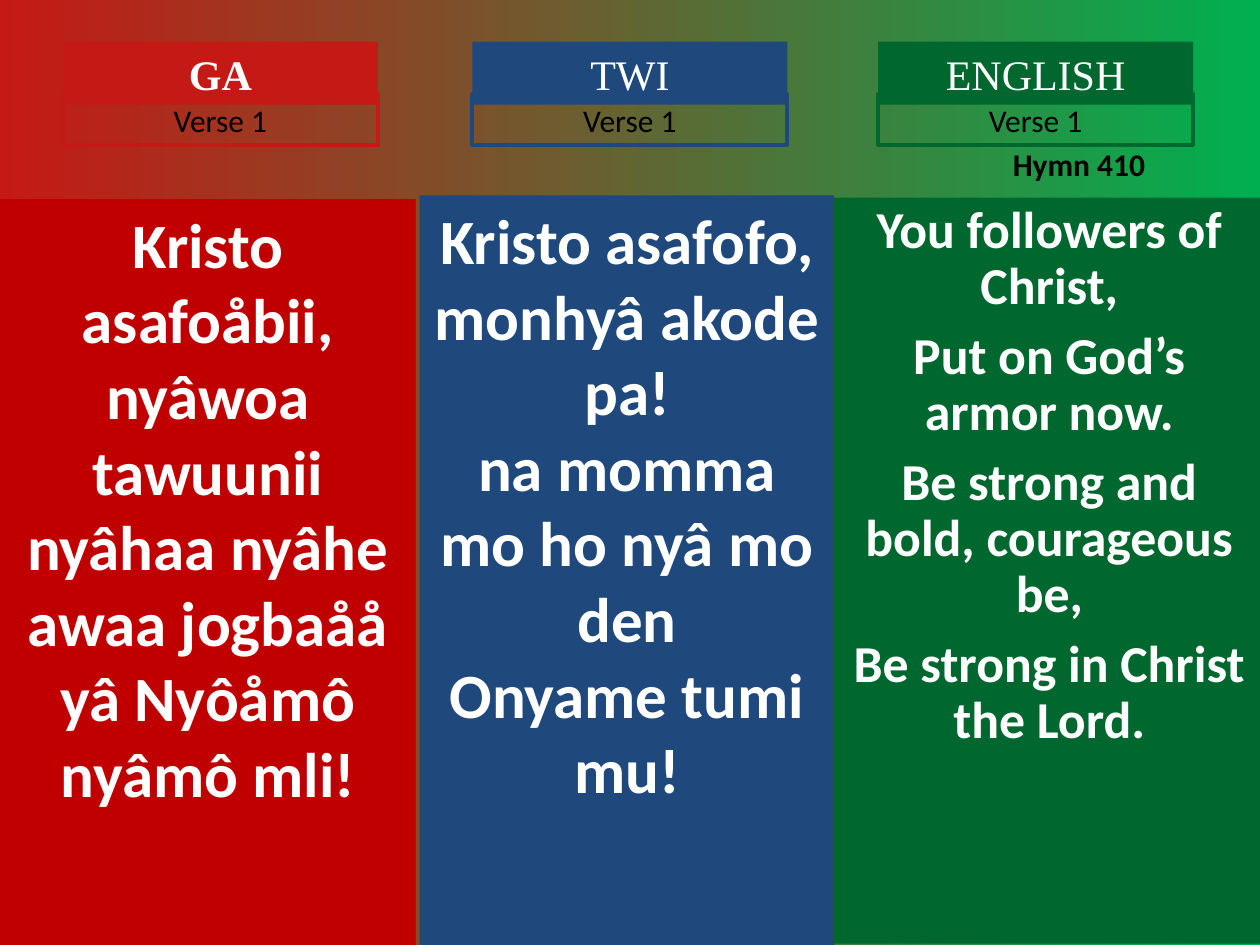
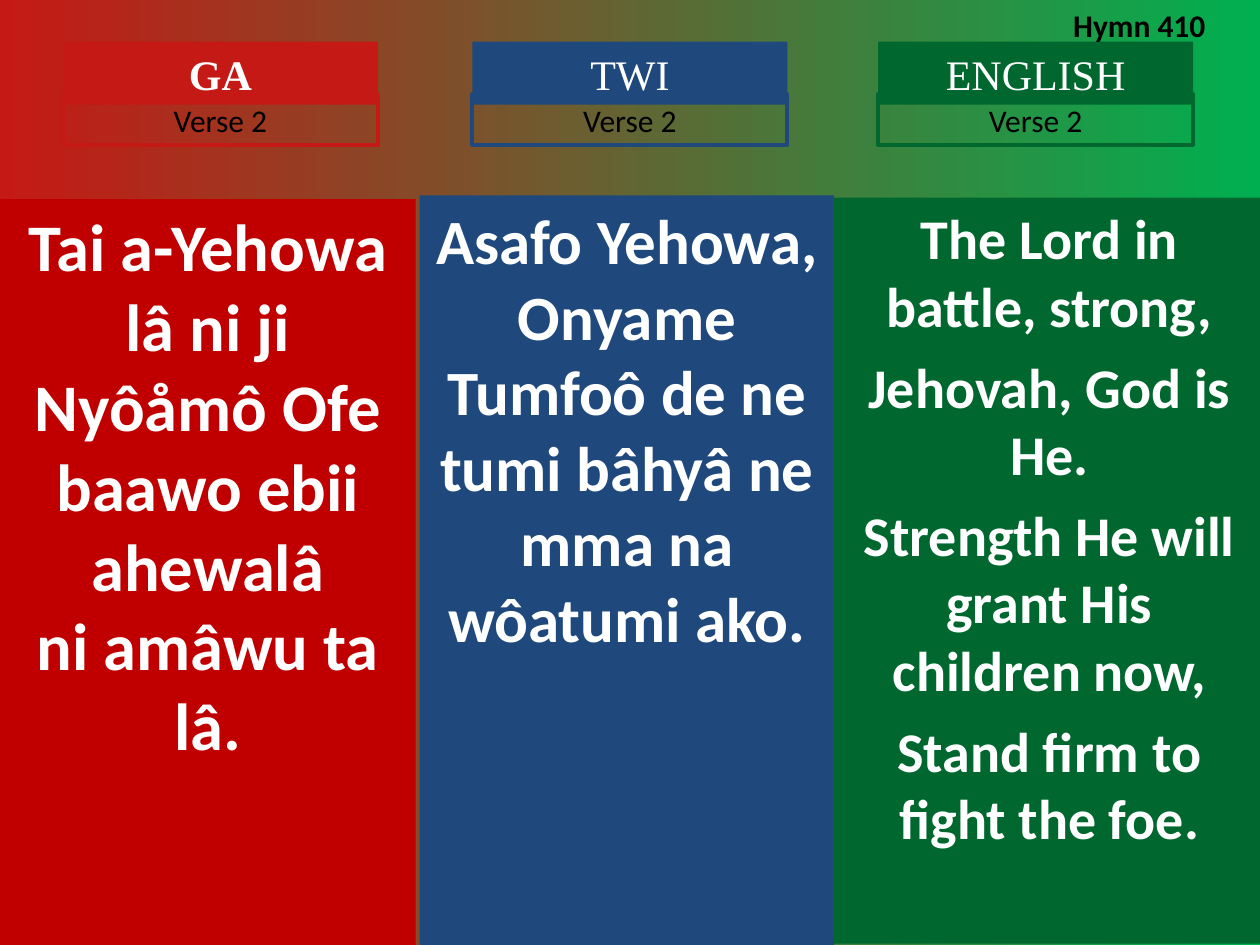
from pptx import Presentation
from pptx.dml.color import RGBColor
from pptx.enum.shapes import MSO_SHAPE as Shape
from pptx.enum.text import MSO_ANCHOR as Anchor, PP_ALIGN as Align
from pptx.util import Pt

RED = RGBColor(0xC5, 0x19, 0x15)
CRIMSON = RGBColor(0xC0, 0x00, 0x00)
BLUE = RGBColor(0x1F, 0x49, 0x7D)
GREEN = RGBColor(0x00, 0x68, 0x2F)
LIME = RGBColor(0x00, 0xB0, 0x50)
WHITE = RGBColor(0xFF, 0xFF, 0xFF)
BLACK = RGBColor(0x00, 0x00, 0x00)

SANS = "Calibri"
SERIF = "Times New Roman"

# Language, its label colour, bold label, label left, panel colour, panel box
COLUMNS = [
    ("GA", RED, True, 36, CRIMSON, (0, 113.8, 237.6, 426.2)),
    ("TWI", BLUE, False, 270, BLUE, (239.8, 111.6, 236.9, 428.4)),
    ("ENGLISH", GREEN, False, 501.8, GREEN, (476.6, 113, 246.2, 426.2)),
]

# Hymn label position, then size, line spacing, space before and lines per column
VERSES = [
    ((571.7, 79.2), [
        (36, 1, 0, ["Kristo asafoåbii,", "nyâwoa tawuunii",
                    "nyâhaa nyâhe awaa jogbaåå", "yâ Nyôåmô nyâmô mli!"]),
        (36, 1, 0, ["Kristo asafofo,", "monhyâ akode pa!",
                    "na momma mo ho nyâ mo den", "Onyame tumi mu!"]),
        (29.6, 0.9, 8, ["You followers of Christ,", "Put on God’s armor now.",
                        "Be strong and bold, courageous be,",
                        "Be strong in Christ the Lord."]),
    ]),
    ((606.2, 0), [
        (38, 1, 0, ["Tai a-Yehowa lâ ni ji Nyôåmô Ofe baawo ebii ahewalâ",
                    "ni amâwu ta lâ."]),
        (36, 1, 0, ["Asafo Yehowa,",
                    "Onyame Tumfoô de ne tumi bâhyâ ne mma na wôatumi ako."]),
        (32, 1, 8, ["The Lord in battle, strong,", "Jehovah, God is He.",
                    "Strength He will grant His children now,",
                    "Stand firm to fight the foe."]),
    ]),
]


class Deck:
    def __init__(self):
        self.prs = Presentation()
        self.prs.slide_width, self.prs.slide_height = Pt(720), Pt(540)
        self.slide = None

    def start(self):
        """Add a blank slide with the red to green backdrop."""
        self.slide = self.prs.slides.add_slide(self.prs.slide_layouts[6])
        fill = self.slide.background.fill
        fill.gradient()
        fill.gradient_angle = 0
        for stop, color, pos in zip(fill.gradient_stops, (RED, LIME), (0, 1)):
            stop.color.rgb = color
            stop.position = pos

    def text(self, shape, lines, size, color, font=SANS, bold=False,
             align=Align.CENTER, anchor=Anchor.TOP, spacing=1, before=0):
        frame = shape.text_frame
        frame.word_wrap = True
        frame.vertical_anchor = anchor
        frame.text = "\n".join(lines)
        for i, para in enumerate(frame.paragraphs):
            para.alignment = align
            para.line_spacing = spacing
            para.space_before = Pt(before if i else 0)
            para.font.name, para.font.size = font, Pt(size)
            para.font.bold, para.font.color.rgb = bold, color

    def rect(self, box, fill=None, line=None):
        shape = self.slide.shapes.add_shape(Shape.RECTANGLE, *map(Pt, box))
        shape.shadow.inherit = False
        if fill is None:
            shape.fill.background()
        else:
            shape.fill.solid()
            shape.fill.fore_color.rgb = fill
        if line is None:
            shape.line.fill.background()
        else:
            shape.line.color.rgb = line
            shape.line.width = Pt(2.25)
        return shape

    def panel(self, box, color, size, spacing, before, lines):
        self.text(self.rect(box, fill=color), lines, size, WHITE, bold=True,
                  spacing=spacing, before=before)

    def label(self, left, name, color, bold, verse):
        """Draw a language name with the verse number framed below it."""
        self.text(self.rect((left, 23.8, 180, 36), fill=color), [name], 24,
                  WHITE, font=SERIF, bold=bold, anchor=Anchor.BOTTOM)
        self.text(self.rect((left, 54, 180, 28.8), line=color),
                  [f"Verse {verse}"], 18, BLACK)

    def hymn(self, left, top):
        box = self.slide.shapes.add_textbox(Pt(left), Pt(top), Pt(108), Pt(28.8))
        self.text(box, ["Hymn 410"], 18, BLACK, bold=True, align=Align.LEFT)

    def save(self):
        self.prs.save("out.pptx")


def main():
    deck = Deck()
    for verse, (spot, texts) in enumerate(VERSES, 1):
        deck.start()
        for column, text in zip(COLUMNS, texts):
            name, color, bold, left, back, box = column
            deck.panel(box, back, *text)
            deck.label(left, name, color, bold, verse)
        deck.hymn(*spot)
    deck.save()


if __name__ == "__main__":
    main()
